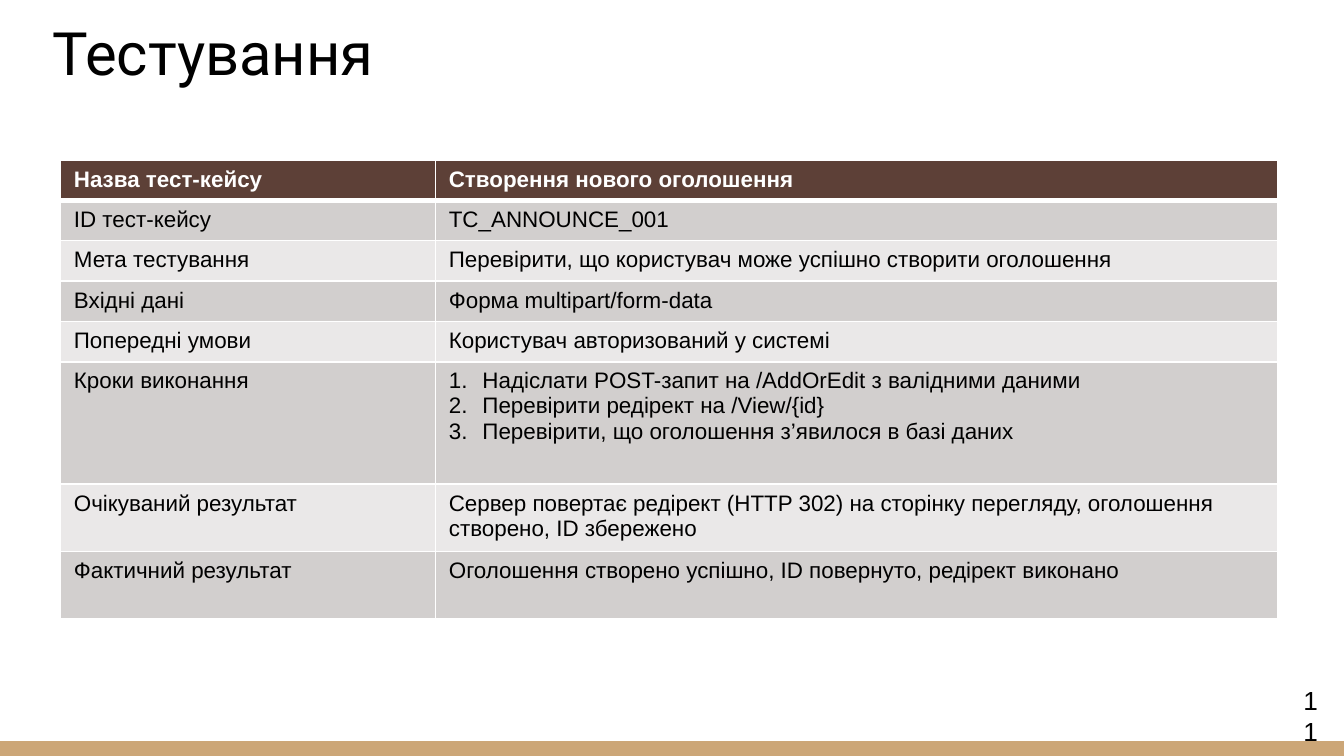
"""Build the slide with the test case table."""
import lxml.etree
import pptx
import pptx.dml.color
import pptx.enum.shapes
import pptx.enum.text
import pptx.oxml
import pptx.oxml.ns
import pptx.util

Inches = pptx.util.Inches
Pt = pptx.util.Pt
qn = pptx.oxml.ns.qn

TITLE = "Тестування"
PAGE_NUMBER = "11"
STEPS = [
    "Надіслати POST-запит на /AddOrEdit з валідними даними",
    "Перевірити редірект на /View/{id}",
    "Перевірити, що оголошення з’явилося в базі даних",
]
ROWS = [
    ("Назва тест-кейсу", "Створення нового оголошення", 0.3),
    ("ID тест-кейсу", "TC_ANNOUNCE_001", 0.3),
    ("Мета тестування", "Перевірити, що користувач може успішно створити оголошення", 0.3),
    ("Вхідні дані", "Форма multipart/form-data", 0.3),
    ("Попередні умови", "Користувач авторизований у системі", 0.3),
    ("Кроки виконання", STEPS, 0.91),
    (
        "Очікуваний результат",
        "Сервер повертає редірект (HTTP 302) на сторінку перегляду, оголошення створено, ID збережено",
        0.5,
    ),
    ("Фактичний результат", "Оголошення створено успішно, ID повернуто, редірект виконано", 0.5),
]
SLIDE_WIDTH = 10
SLIDE_HEIGHT = SLIDE_WIDTH * 9 / 16
BAR_HEIGHT = 0.11
COLUMN_WIDTHS = [2.79, 6.27]
COLORS = {
    "text": "000000",
    "white": "FFFFFF",
    "bar": "CCA677",
    "header": "5D4037",
    "odd": "D2CFCE",
    "even": "EAE8E8",
}


def rgb(name):
    return pptx.dml.color.RGBColor.from_string(COLORS[name])


def set_values(target, values):
    for name, value in values.items():
        setattr(target, name, value)


def format_text(paragraph, size, font="Arial", color="text", bold=False):
    paragraph.alignment = pptx.enum.text.PP_ALIGN.LEFT
    for run in paragraph.runs:
        set_values(run.font, {"size": Pt(size), "name": font, "bold": bold})
        run.font.color.rgb = rgb(color)


def number_paragraph(paragraph):
    properties = paragraph._p.get_or_add_pPr()
    properties.set("marL", str(Inches(0.25)))
    properties.set("indent", str(-Inches(0.25)))
    color = lxml.etree.SubElement(properties, qn("a:buClr"))
    lxml.etree.SubElement(color, qn("a:srgbClr"), val=COLORS["text"])
    lxml.etree.SubElement(properties, qn("a:buFont"), typeface="Arial")
    lxml.etree.SubElement(properties, qn("a:buAutoNum"), type="arabicPeriod")


def add_borders(cell, widths):
    properties = cell._tc.get_or_add_tcPr()
    for side, width in widths.items():
        line = lxml.etree.SubElement(properties, qn(f"a:ln{side}"), w=str(Pt(width)))
        fill = lxml.etree.SubElement(line, qn("a:solidFill"))
        lxml.etree.SubElement(fill, qn("a:srgbClr"), val=COLORS["white"])


def fill_cell(cell, content, row_index):
    is_header = row_index == 0
    lines = content if isinstance(content, list) else [content]
    cell.text = "\n".join(lines)
    for paragraph in cell.text_frame.paragraphs:
        format_text(paragraph, 12, color="white" if is_header else "text", bold=is_header)
        if len(lines) > 1:
            number_paragraph(paragraph)
    add_borders(cell, {"L": 1, "R": 1, "T": 3 if row_index == 1 else 1, "B": 3 if is_header else 1})
    cell.fill.solid()
    cell.fill.fore_color.rgb = rgb("header" if is_header else "odd" if row_index % 2 else "even")


def add_bar(slide):
    bar = slide.shapes.add_shape(
        pptx.enum.shapes.MSO_SHAPE.RECTANGLE,
        Inches(0), Inches(SLIDE_HEIGHT - BAR_HEIGHT), Inches(SLIDE_WIDTH), Inches(BAR_HEIGHT),
    )
    bar.shadow.inherit = False
    bar.fill.solid()
    bar.fill.fore_color.rgb = rgb("bar")
    bar.line.fill.background()


def set_title(slide):
    title = slide.shapes.title
    set_values(title, {
        "left": Inches(0.29), "top": Inches(-0.16), "width": Inches(9.32), "height": Inches(0.91),
    })
    frame = title.text_frame
    margins = {f"margin_{side}": Inches(0.1) for side in ("left", "top", "right", "bottom")}
    set_values(frame, {
        "text": TITLE,
        "vertical_anchor": pptx.enum.text.MSO_ANCHOR.BOTTOM,
        "auto_size": pptx.enum.text.MSO_AUTO_SIZE.NONE,
        **margins,
    })
    format_text(frame.paragraphs[0], 32, "Roboto")


def add_page_number(slide):
    box = slide.shapes.add_textbox(Inches(9.6), Inches(5.04), Inches(0.31), Inches(0.34))
    set_values(box.text_frame, {"text": PAGE_NUMBER, "word_wrap": True})
    format_text(box.text_frame.paragraphs[0], 14)


def add_test_table(slide):
    heights = [height for _, _, height in ROWS]
    table = slide.shapes.add_table(
        len(ROWS), len(COLUMN_WIDTHS), Inches(0.45), Inches(1.19),
        Inches(sum(COLUMN_WIDTHS)), Inches(sum(heights)),
    ).table
    for column, width in zip(table.columns, COLUMN_WIDTHS):
        column.width = Inches(width)
    for row_index, (label, content, height) in enumerate(ROWS):
        table.rows[row_index].height = Inches(height)
        for column_index, value in enumerate((label, content)):
            fill_cell(table.cell(row_index, column_index), value, row_index)


def main():
    presentation = pptx.Presentation()
    set_values(presentation, {
        "slide_width": Inches(SLIDE_WIDTH), "slide_height": Inches(SLIDE_HEIGHT),
    })
    slide = presentation.slides.add_slide(presentation.slide_layouts[5])
    add_bar(slide)
    set_title(slide)
    add_page_number(slide)
    add_test_table(slide)
    presentation.save("out.pptx")


if __name__ == "__main__":
    main()
